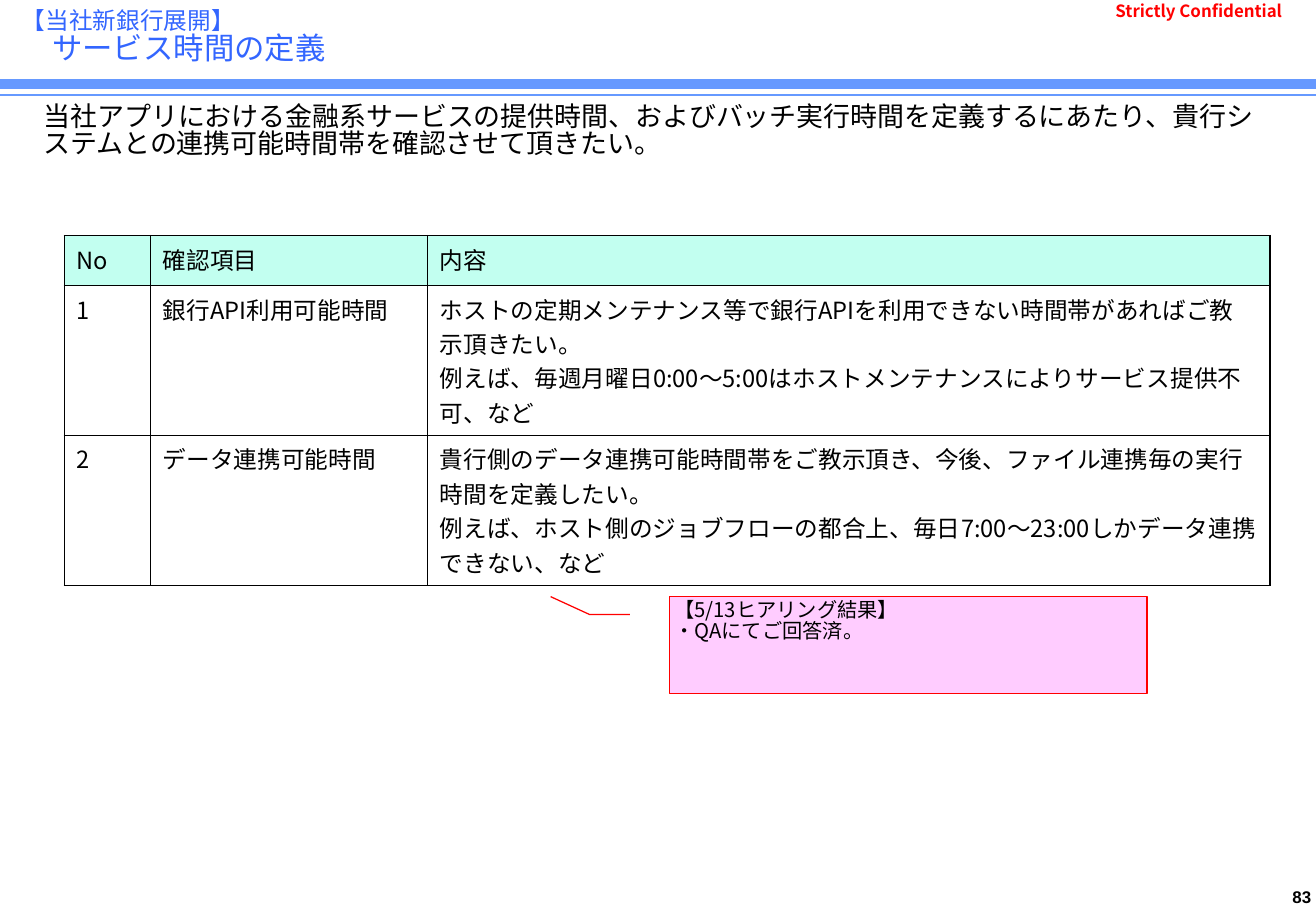
import pptx
import pptx.util
import pptx.dml.color
import pptx.enum.shapes
import pptx.enum.text
import pptx.oxml
import pptx.oxml.ns

Inches = pptx.util.Inches
Pt = pptx.util.Pt
RGB = pptx.dml.color.RGBColor
ALIGN = pptx.enum.text.PP_ALIGN
ANCHOR = pptx.enum.text.MSO_ANCHOR

BLACK = RGB(0, 0, 0)
WHITE = RGB(0xFF, 0xFF, 0xFF)
RED = RGB(0xFF, 0, 0)
BLUE = RGB(0x33, 0x66, 0xFF)
RULE = RGB(0x66, 0x99, 0xFF)
MINT = RGB(0xC2, 0xFF, 0xF0)
PINK = RGB(0xFF, 0xCC, 0xFF)

GOTHIC = "Noto Sans CJK JP"
TIGHT = 0.85

COLS = [0.71, 2.28, 6.93]
ROWS = [0.41, 1.23, 1.23]
CELLS = [
    [["No"], ["確認項目"], ["内容"]],
    [["1"], ["銀行API利用可能時間"],
     ["ホストの定期メンテナンス等で銀行APIを利用できない時間帯があればご教示頂きたい。",
      "例えば、毎週月曜日0:00～5:00はホストメンテナンスによりサービス提供不可、など"]],
    [["2"], ["データ連携可能時間"],
     ["貴行側のデータ連携可能時間帯をご教示頂き、今後、ファイル連携毎の実行時間を定義したい。",
      "例えば、ホスト側のジョブフローの都合上、毎日7:00～23:00しかデータ連携できない、など"]],
]


def add_run(para, text, size, color=BLACK, bold=False, font=GOTHIC):
    run = para.add_run()
    run.text = text
    run.font.size = Pt(size)
    run.font.bold = bold
    run.font.name = font
    run.font.color.rgb = color
    east = pptx.oxml.ns.qn("a:ea")
    run.font._element.append(run.font._element.makeelement(east, {"typeface": font}))


def fill_text(frame, lines, size, align=ALIGN.LEFT, space=None, **style):
    """Write each line as one paragraph."""
    for i, line in enumerate(lines):
        para = frame.add_paragraph() if i else frame.paragraphs[0]
        para.alignment = align
        para.line_spacing = space
        add_run(para, line, size, **style)


def set_frame(frame, side=0.1, top=0.05, anchor=ANCHOR.TOP):
    frame.word_wrap = True
    frame.auto_size = pptx.enum.text.MSO_AUTO_SIZE.NONE
    frame.vertical_anchor = anchor
    frame.margin_left = frame.margin_right = Inches(side)
    frame.margin_top = frame.margin_bottom = Inches(top)


def add_box(slide, place):
    return slide.shapes.add_textbox(*map(Inches, place)).text_frame


def add_rule(slide, y, width):
    kind = pptx.enum.shapes.MSO_CONNECTOR.STRAIGHT
    rule = slide.shapes.add_connector(kind, 0, Inches(y), Inches(10.83), Inches(y))
    rule.line.color.rgb = RULE
    rule.line.width = Pt(width)
    props = rule._element.spPr
    props.append(props.makeelement(pptx.oxml.ns.qn("a:effectLst")))


def set_title(slide):
    title = slide.shapes.title
    title.left, title.top = Inches(0.08), Inches(0.06)
    title.width, title.height = Inches(10.38), Inches(0.51)
    set_frame(title.text_frame, anchor=ANCHOR.MIDDLE)
    para = title.text_frame.paragraphs[0]
    para.alignment = ALIGN.LEFT
    para.line_spacing = TIGHT
    add_run(para, "【当社新銀行展開】", 14, BLUE)
    para.add_line_break()
    add_run(para, "　サービス時間の定義", 18, BLUE)


def set_border(cell):
    props = cell._tc.get_or_add_tcPr()
    for i, side in enumerate("LRTB"):
        props.insert(i, pptx.oxml.parse_xml(
            f'<a:ln{side} {pptx.oxml.ns.nsdecls("a")} w="12700"><a:solidFill>'
            f'<a:srgbClr val="{BLACK}"/></a:solidFill></a:ln{side}>'))


def add_grid(slide):
    place = map(Inches, (0.53, 1.94, sum(COLS), sum(ROWS)))
    table = slide.shapes.add_table(len(ROWS), len(COLS), *place).table
    table.first_row = table.horz_banding = False
    for col, width in zip(table.columns, COLS):
        col.width = Inches(width)
    for r, height in enumerate(ROWS):
        table.rows[r].height = Inches(height)
        for c, lines in enumerate(CELLS[r]):
            cell = table.cell(r, c)
            cell.fill.solid()
            cell.fill.fore_color.rgb = WHITE if r else MINT
            set_border(cell)
            fill_text(cell.text_frame, lines, 14)


def add_callout(slide):
    kind = pptx.enum.shapes.MSO_SHAPE.LINE_CALLOUT_2
    note = slide.shapes.add_shape(kind, *map(Inches, (5.51, 4.91, 3.93, 0.8)))
    for i, value in enumerate((0.188, -0.083, 0.188, -0.167, 0.003, -0.249)):
        note.adjustments[i] = value
    note.shadow.inherit = False
    note.fill.solid()
    note.fill.fore_color.rgb = PINK
    note.line.color.rgb = RED
    note.line.width = Pt(0.75)
    set_frame(note.text_frame, 0.04, 0.04)
    fill_text(note.text_frame, ["【5/13ヒアリング結果】", "・QAにてご回答済。"],
              12, space=TIGHT)


def main():
    deck = pptx.Presentation()
    deck.slide_width, deck.slide_height = Inches(10.83), Inches(7.5)
    slide = deck.slides.add_slide(deck.slide_layouts[5])

    add_rule(slide, 0.69, 6)
    add_rule(slide, 0.78, 1)
    page = add_box(slide, (10.51, 7.26, 0.32, 0.25))
    set_frame(page, 0.04, 0.04)
    fill_text(page, ["83"], 10, ALIGN.RIGHT, bold=True, font="Arial")
    mark = add_box(slide, (9.1, 0.04, 1.76, 0.1))
    set_frame(mark, 0.08, 0, ANCHOR.MIDDLE)
    fill_text(mark, ["Strictly Confidential"], 10, color=RED, bold=True)

    set_title(slide)
    lead = add_box(slide, (0.26, 0.81, 10.32, 0.63))
    set_frame(lead)
    fill_text(lead, ["当社アプリにおける金融系サービスの提供時間、およびバッチ実行時間を"
                     "定義するにあたり、貴行システムとの連携可能時間帯を確認させて頂きたい。"],
              16, space=TIGHT)
    add_grid(slide)
    add_callout(slide)
    deck.save("out.pptx")


if __name__ == "__main__":
    main()
